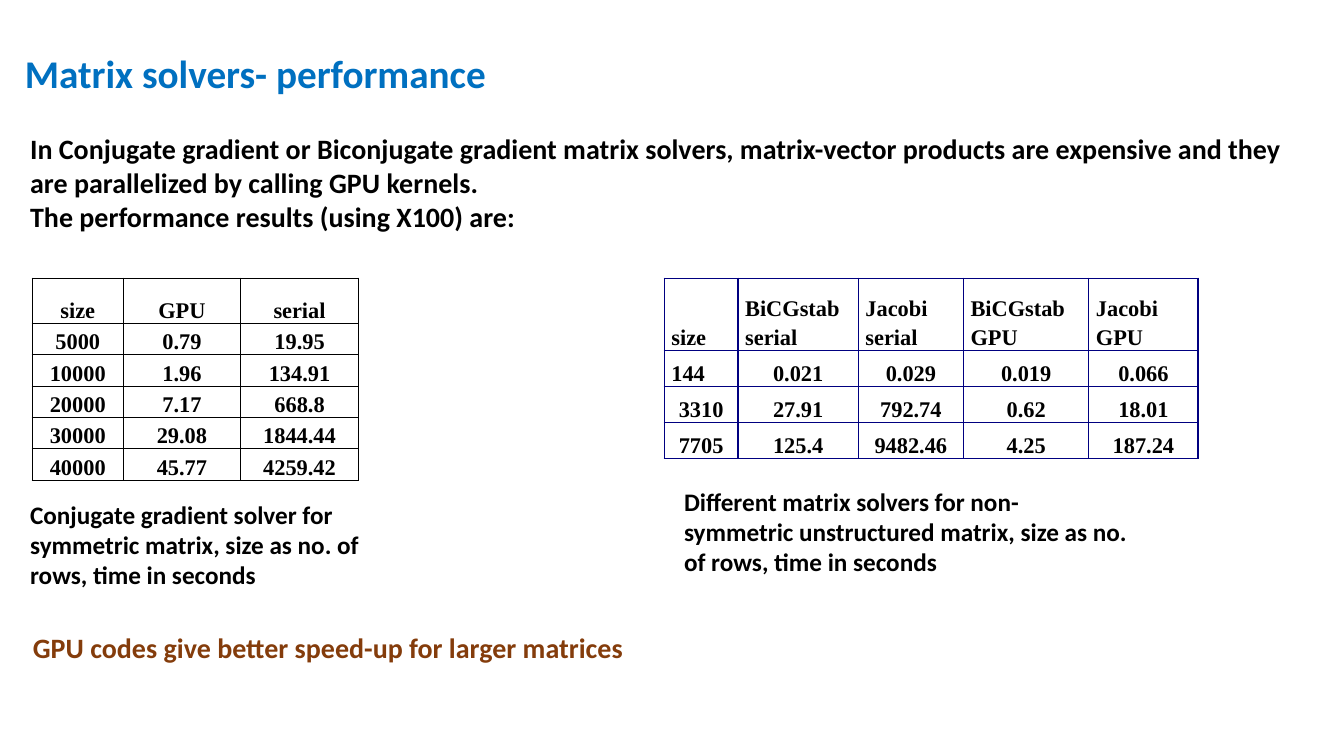
from lxml.etree import SubElement
from pptx import Presentation
from pptx.dml.color import RGBColor
from pptx.enum.text import MSO_ANCHOR as Anchor, MSO_AUTO_SIZE as AutoSize, PP_ALIGN as Align
from pptx.oxml.ns import qn
from pptx.util import Cm, Pt

BLACK, BLUE, NAVY, BROWN = "000000", "0070C0", "000080", "843C0B"


def color(value):
    return RGBColor.from_string(value)


class SlideWriter:
    text_font = "Calibri"
    table_font = "Times New Roman"
    table_size = 16
    table_spacing = 1.15
    cell_margin = Cm(0.18)

    def __init__(self, slide):
        self.slide = slide

    def run(self, paragraph, text, size, font, ink=BLACK):
        run = paragraph.add_run()
        run.text = text
        run.font.name = font
        run.font.size = Pt(size)
        run.font.bold = True
        run.font.color.rgb = color(ink)

    def text(self, left, top, width, height, lines, size, ink=BLACK):
        box = self.slide.shapes.add_textbox(Cm(left), Cm(top), Cm(width), Cm(height))
        frame = box.text_frame
        frame.word_wrap = True
        frame.auto_size = AutoSize.SHAPE_TO_FIT_TEXT
        for index, line in enumerate(lines):
            paragraph = frame.add_paragraph() if index else frame.paragraphs[0]
            self.run(paragraph, line, size, self.text_font, ink)

    def border(self, cell, ink):
        properties = cell._tc.get_or_add_tcPr()
        for side in ("lnL", "lnR", "lnT", "lnB"):
            line = SubElement(properties, qn(f"a:{side}"), w=str(Pt(1)))
            fill = SubElement(line, qn("a:solidFill"))
            SubElement(fill, qn("a:srgbClr"), val=ink)

    def table(self, left, top, widths, heights, rows, ink, left_cells=()):
        frame = self.slide.shapes.add_table(
            len(rows), len(widths), Cm(left), Cm(top), Cm(sum(widths)), Cm(sum(heights)))
        table = frame.table
        table.first_row = table.horz_banding = False
        for column, width in zip(table.columns, widths):
            column.width = Cm(width)
        for r, (values, height) in enumerate(zip(rows, heights)):
            table.rows[r].height = Cm(height)
            for c, value in enumerate(values):
                align = Align.LEFT if (r, c) in left_cells else Align.CENTER
                self.cell(table.cell(r, c), value, align, ink)

    def cell(self, cell, value, align, ink):
        cell.margin_left = cell.margin_right = self.cell_margin
        cell.margin_top = cell.margin_bottom = 0
        cell.vertical_anchor = Anchor.BOTTOM
        self.border(cell, ink)
        cell.fill.background()
        paragraph = cell.text_frame.paragraphs[0]
        paragraph.alignment = align
        paragraph.line_spacing = self.table_spacing
        self.run(paragraph, value, self.table_size, self.table_font)


def main():
    deck = Presentation()
    deck.slide_width, deck.slide_height = Cm(33.87), Cm(19.05)
    writer = SlideWriter(deck.slides.add_slide(deck.slide_layouts[6]))
    tables_top = 7.01

    # Title and introduction
    writer.text(0.38, 1.12, 25.83, 1.45, ["Matrix solvers- performance"], 28, BLUE)
    writer.text(0.51, 3.2, 32.54, 2.82, [
        "In Conjugate gradient or Biconjugate gradient matrix solvers, matrix-vector products "
        "are expensive and they are parallelized by calling GPU kernels.",
        "The performance results (using X100) are:",
    ], 20)

    # Conjugate gradient timings
    conjugate_rows = [
        ("size", "GPU", "serial"),
        ("5000", "0.79", "19.95"),
        ("10000", "1.96", "134.91"),
        ("20000", "7.17", "668.8"),
        ("30000", "29.08", "1844.44"),
        ("40000", "45.77", "4259.42"),
    ]
    writer.table(0.81, tables_top, [2.3, 2.95, 2.98], [1.14] + [0.79] * 5,
                 conjugate_rows, BLACK)
    writer.text(0.51, 12.45, 8.86, 2.57, [
        "Conjugate gradient solver for symmetric matrix, size as no. of rows, time in seconds",
    ], 18)

    # Comparison of solvers: header and first size are left aligned
    solver_rows = [
        ("size", "BiCGstab serial", "Jacobi serial", "BiCGstab GPU", "Jacobi GPU"),
        ("144", "0.021", "0.029", "0.019", "0.066"),
        ("3310", "27.91", "792.74", "0.62", "18.01"),
        ("7705", "125.4", "9482.46", "4.25", "187.24"),
    ]
    header_cells = {(0, column) for column in range(len(solver_rows[0]))}
    writer.table(16.74, tables_top, [1.86, 3.03, 2.65, 3.16, 2.75], [1.82] + [0.91] * 3,
                 solver_rows, NAVY, header_cells | {(1, 0)})
    writer.text(16.99, 12.12, 11.68, 2.57, [
        "Different matrix solvers for non-symmetric unstructured matrix, "
        "size as no. of rows, time in seconds",
    ], 18)

    # Conclusion
    writer.text(0.58, 15.77, 25.6, 1.12,
                ["GPU codes give better speed-up for larger matrices"], 20, BROWN)

    deck.save("out.pptx")


if __name__ == "__main__":
    main()
